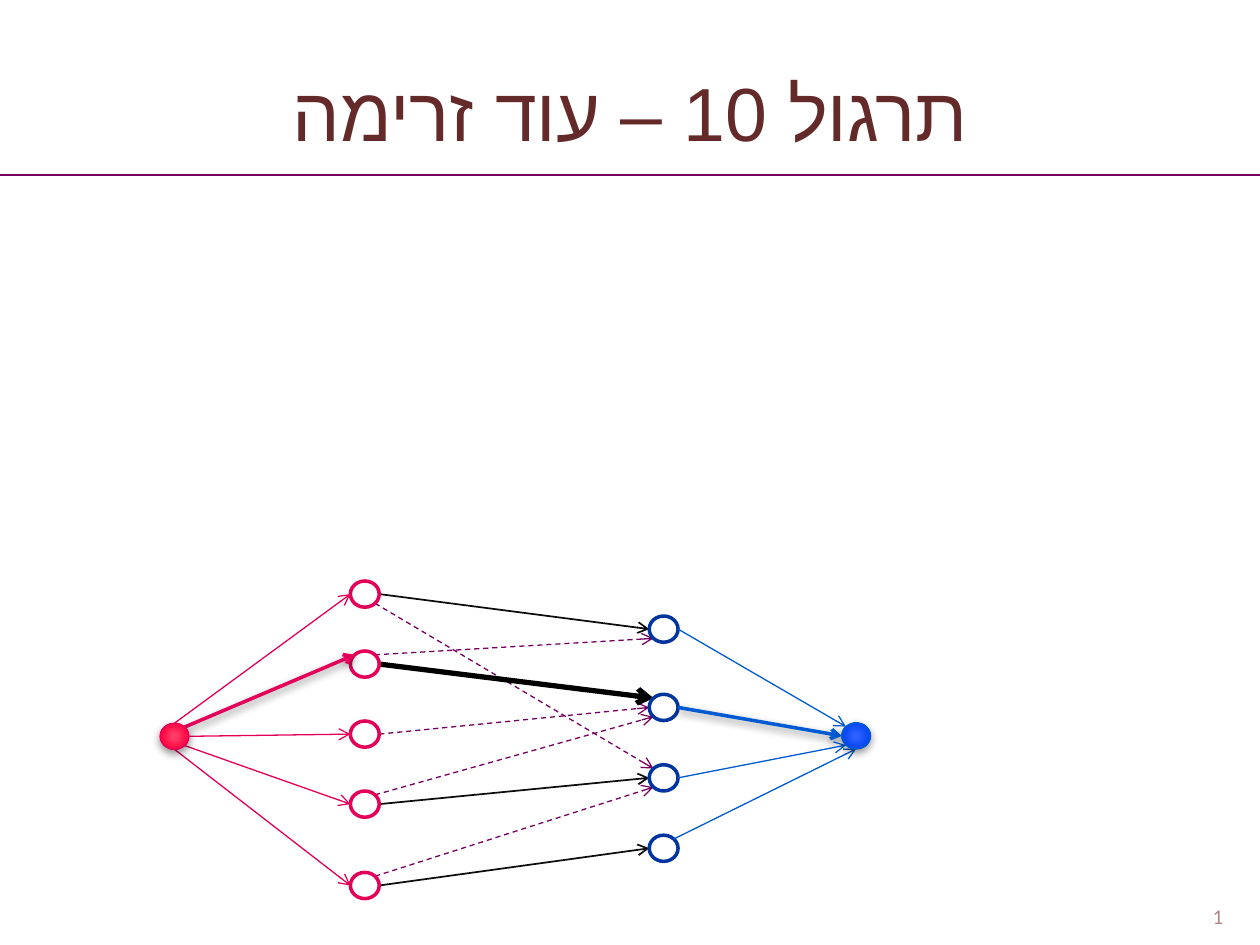
from math import cos, radians, sin

from lxml.etree import SubElement
from pptx import Presentation
from pptx.dml.color import RGBColor
from pptx.enum.dml import MSO_LINE
from pptx.enum.shapes import MSO_CONNECTOR, MSO_SHAPE
from pptx.enum.text import MSO_ANCHOR, PP_ALIGN
from pptx.oxml.ns import qn
from pptx.util import Pt

PINK, NAVY, BLUE = "E40059", "00349E", "005BD3"
PURPLE, INK, BLACK, WHITE = "75005F", "0D0D0D", "000000", "FFFFFF"
NODE_W, NODE_H = 16.5, 15

# Node centres
SOURCE, SINK = (99.75, 420.75), (489.25, 420.5)
LEFT = [(208.5, y) for y in (339.5, 379.5, 419.5, 459.5, 506)]
RIGHT = [(379.25, y) for y in (359.5, 404.25, 444.5, 484.75)]

# Angles of the attachment points on a node, clockwise from the right
ANGLES = {"E": 0, "SE": 45, "S": 90, "SW": 135,
          "W": 180, "NW": 225, "N": 270, "NE": 315}

# Gradient stops from the centre outwards
GRADIENT_POSITIONS = (0, 15, 62, 97, 100)
SOURCE_GRADIENT = ("FF3C65", "FF3B64", "FF0A46", "E1003E", "B90048")
SINK_GRADIENT = ("2D60FF", "2C5FFF", "094AF1", "0042D3", "004AAB")


def rgb(hex_color):
    return RGBColor.from_string(hex_color)


def add_shadow(effects):
    shadow = SubElement(effects, qn("a:outerShdw"), blurRad=str(Pt(5)),
                        dist=str(Pt(2)), dir="5400000", rotWithShape="0")
    color = SubElement(shadow, qn("a:srgbClr"), val=BLACK)
    SubElement(color, qn("a:alpha"), val="43000")


def add_text(slide, box, text, size, font, color, anchor):
    frame = slide.shapes.add_textbox(*map(Pt, box)).text_frame
    frame.word_wrap = True
    frame.vertical_anchor = anchor
    frame.text = text
    paragraph = frame.paragraphs[0]
    paragraph.alignment = PP_ALIGN.CENTER
    paragraph._p.get_or_add_pPr().set("rtl", "1")
    run = paragraph.runs[0]
    run.font.size = Pt(size)
    run.font.name = font
    run.font.color.rgb = rgb(color)
    # Hebrew letters take the complex-script font
    SubElement(run.font._element, qn("a:cs"), typeface=font)


def add_line(slide, start, end, color, width, dashed=False, arrow=True,
             shadow=False):
    connector = slide.shapes.add_connector(
        MSO_CONNECTOR.STRAIGHT, *map(Pt, (*start, *end)))
    connector.line.color.rgb = rgb(color)
    connector.line.width = Pt(width)
    if dashed:
        connector.line.dash_style = MSO_LINE.DASH
    if arrow:
        SubElement(connector.line._get_or_add_ln(), qn("a:tailEnd"),
                   type="arrow")
    effects = SubElement(connector._element.spPr, qn("a:effectLst"))
    if shadow:
        add_shadow(effects)


def site(center, direction):
    angle = radians(ANGLES[direction])
    return (center[0] + NODE_W / 2 * cos(angle),
            center[1] + NODE_H / 2 * sin(angle))


def add_edge(slide, tail, tail_site, head, head_site, color, width, **style):
    add_line(slide, site(tail, tail_site), site(head, head_site),
             color, width, **style)


def add_node(slide, center, outline, width):
    x, y = center
    node = slide.shapes.add_shape(
        MSO_SHAPE.OVAL, Pt(x - NODE_W / 2), Pt(y - NODE_H / 2),
        Pt(NODE_W), Pt(NODE_H))
    node.shadow.inherit = False
    node.fill.solid()
    node.fill.fore_color.rgb = rgb(WHITE)
    node.line.color.rgb = rgb(outline)
    node.line.width = Pt(width)
    return node


def add_terminal(slide, center, outline, colors):
    properties = add_node(slide, center, outline, 0.75)._element.spPr
    add_shadow(properties.find(qn("a:effectLst")))
    # Radial gradient in place of the plain fill
    solid = properties.find(qn("a:solidFill"))
    gradient = SubElement(properties, qn("a:gradFill"), rotWithShape="1")
    stops = SubElement(gradient, qn("a:gsLst"))
    for position, color in zip(GRADIENT_POSITIONS, colors):
        stop = SubElement(stops, qn("a:gs"), pos=str(position * 1000))
        SubElement(stop, qn("a:srgbClr"), val=color)
    radial = SubElement(gradient, qn("a:path"), path="circle")
    SubElement(radial, qn("a:fillToRect"),
               {side: "50000" for side in "ltrb"})
    properties.replace(solid, gradient)


def main():
    prs = Presentation()
    prs.slide_width, prs.slide_height = Pt(720), Pt(540)
    slide = prs.slides.add_slide(prs.slide_layouts[6])

    # Heading and page number
    add_line(slide, (0, 100), (720, 100), PURPLE, 0.75, arrow=False)
    add_text(slide, (0, 33, 720, 61), "תרגול 10 – עוד זרימה", 43, "Arial",
             "642A2A", MSO_ANCHOR.MIDDLE)
    add_text(slide, (678, 497, 36, 37.5), "1", 12, "Calibri", "AF8888",
             MSO_ANCHOR.BOTTOM)

    # Edges between the two sides: matched ones solid, the others dashed
    for i, left_site, j, right_site in [
            (0, "SE", 2, "NW"), (1, "NE", 0, "SW"), (2, "E", 1, "W"),
            (3, "NE", 1, "SW"), (4, "NE", 2, "SW")]:
        add_edge(slide, LEFT[i], left_site, RIGHT[j], right_site,
                 PURPLE, 0.75, dashed=True)
    for i, j in [(0, 0), (4, 3), (3, 2)]:
        add_edge(slide, LEFT[i], "E", RIGHT[j], "W", INK, 1)
    add_edge(slide, LEFT[1], "E", RIGHT[1], "NW", BLACK, 3)

    # Nodes of the two sides
    for centers, outline in [(LEFT, PINK), (RIGHT, NAVY)]:
        for center in centers:
            add_node(slide, center, outline, 2)

    # Edges into the sink and out of the source; the second is emphasised
    sink_sites = [("E", "NW"), ("E", "W"), ("E", "SW"), ("NE", "S")]
    for i, (right_site, sink_site) in enumerate(sink_sites):
        add_edge(slide, RIGHT[i], right_site, SINK, sink_site, BLUE,
                 2 if i == 1 else 0.75, shadow=i == 1)
    source_sites = [("N", "W"), ("NE", "NW"), ("E", "W"), ("SE", "W"),
                    ("S", "W")]
    for i, (source_site, left_site) in enumerate(source_sites):
        add_edge(slide, SOURCE, source_site, LEFT[i], left_site, PINK,
                 2 if i == 1 else 0.75, shadow=i == 1)

    # Source and sink
    add_terminal(slide, SOURCE, PINK, SOURCE_GRADIENT)
    add_terminal(slide, SINK, BLUE, SINK_GRADIENT)

    prs.save("out.pptx")


if __name__ == "__main__":
    main()
